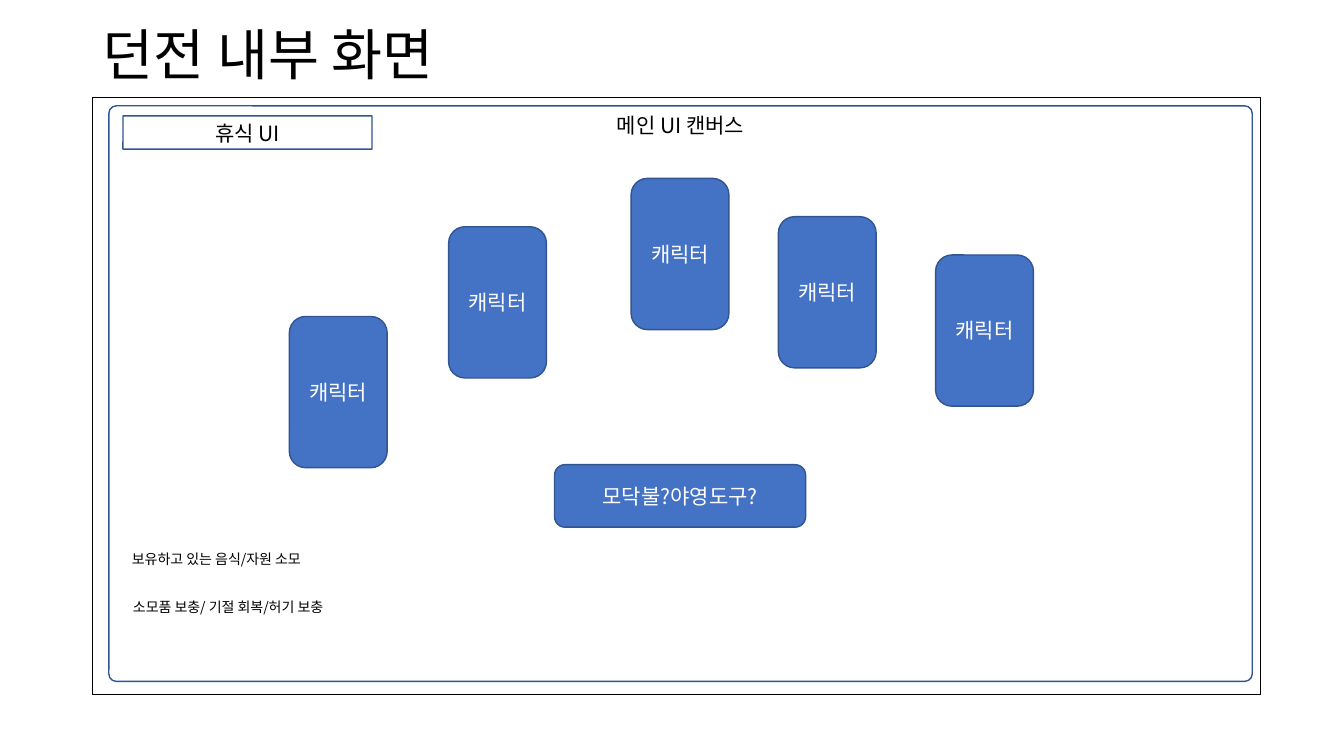
"""Builds the wireframe slide of the dungeon interior screen."""
from lxml.etree import SubElement
from pptx import Presentation
from pptx.dml.color import RGBColor
from pptx.enum.shapes import MSO_SHAPE as Shape
from pptx.enum.text import MSO_ANCHOR as Anchor, PP_ALIGN as Align
from pptx.oxml.ns import qn
from pptx.util import Pt

PX = 9144
FONT = "Noto Sans CJK KR"
COLORS = {"black": "000000", "white": "FFFFFF", "blue": "4472C4", "navy": "325491"}


def write(shape, text, size, color, anchor=Anchor.TOP, align=Align.LEFT):
    frame = shape.text_frame
    frame.word_wrap = True
    frame.vertical_anchor = anchor
    paragraph = frame.paragraphs[0]
    paragraph.alignment = align
    run = paragraph.add_run()
    run.text = text
    run.font.size = Pt(size)
    run.font.name = FONT
    run.font.color.rgb = RGBColor.from_string(COLORS[color])
    SubElement(run.font._element, qn("a:ea"), typeface=FONT)
    return paragraph


def add_box(kind, bounds, line, fill=None, corner=None):
    shape = slide.shapes.add_shape(kind, *(value * PX for value in bounds))
    shape.shadow.inherit = False
    if fill:
        shape.fill.solid()
        shape.fill.fore_color.rgb = RGBColor.from_string(COLORS[fill])
    else:
        shape.fill.background()
    shape.line.color.rgb = RGBColor.from_string(COLORS[line])
    shape.line.width = Pt(1)
    if corner is not None:
        shape.adjustments[0] = corner
    return shape


presentation = Presentation()
presentation.slide_width = 1333 * PX
presentation.slide_height = 750 * PX
slide = presentation.slides.add_slide(presentation.slide_layouts[6])

add_box(Shape.RECTANGLE, (92, 97, 1158, 592), "black")

title = slide.shapes.add_textbox(92 * PX, 40 * PX, 914 * PX, 35 * PX)
write(title, "던전 내부 화면", 39.6, "black", Anchor.MIDDLE).line_spacing = 0.9

notes = [
    (122, 589, "소모품 보충/ 기절 회복/허기 보충"),
    (121, 541, "보유하고 있는 음식/자원 소모"),
]
for left, top, text in notes:
    note = slide.shapes.add_textbox(left * PX, top * PX, 241 * PX, 27 * PX)
    write(note, text, 10, "black")

panels = [
    ((108, 105, 1134, 571), "메인 UI 캔버스"),
    ((122, 115, 247, 33), "휴식 UI"),
]
for bounds, text in panels:
    panel = add_box(Shape.ROUNDED_RECTANGLE, bounds, "navy", corner=0.013)
    write(panel, text, 15, "black", align=Align.CENTER)

character_places = [(287, 314), (445, 225), (626, 177), (772, 215), (928, 253)]
blocks = [((left, top, 97, 150), "캐릭터") for left, top in character_places]
blocks.append(((550, 461, 249, 62), "모닥불?야영도구?"))
for bounds, text in blocks:
    block = add_box(Shape.ROUNDED_RECTANGLE, bounds, "navy", "blue")
    write(block, text, 15, "white", Anchor.MIDDLE, Align.CENTER)

presentation.save("out.pptx")
